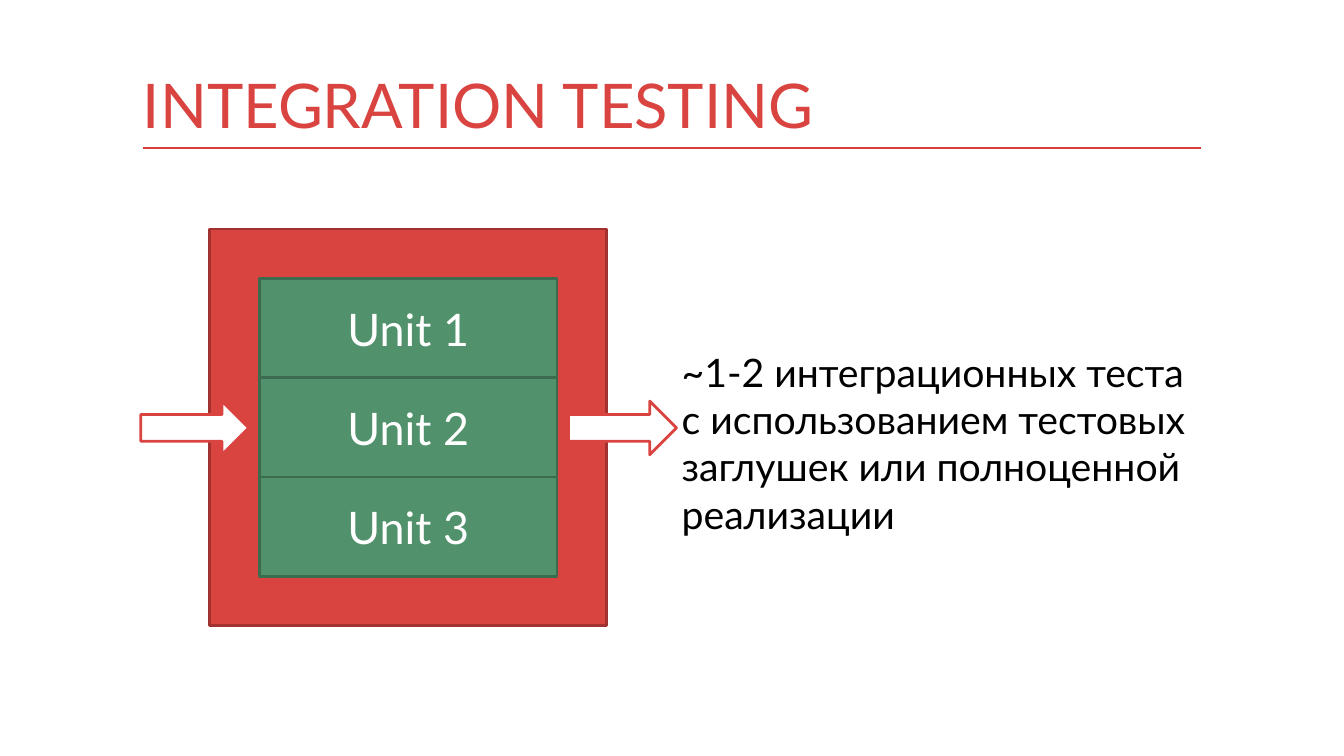
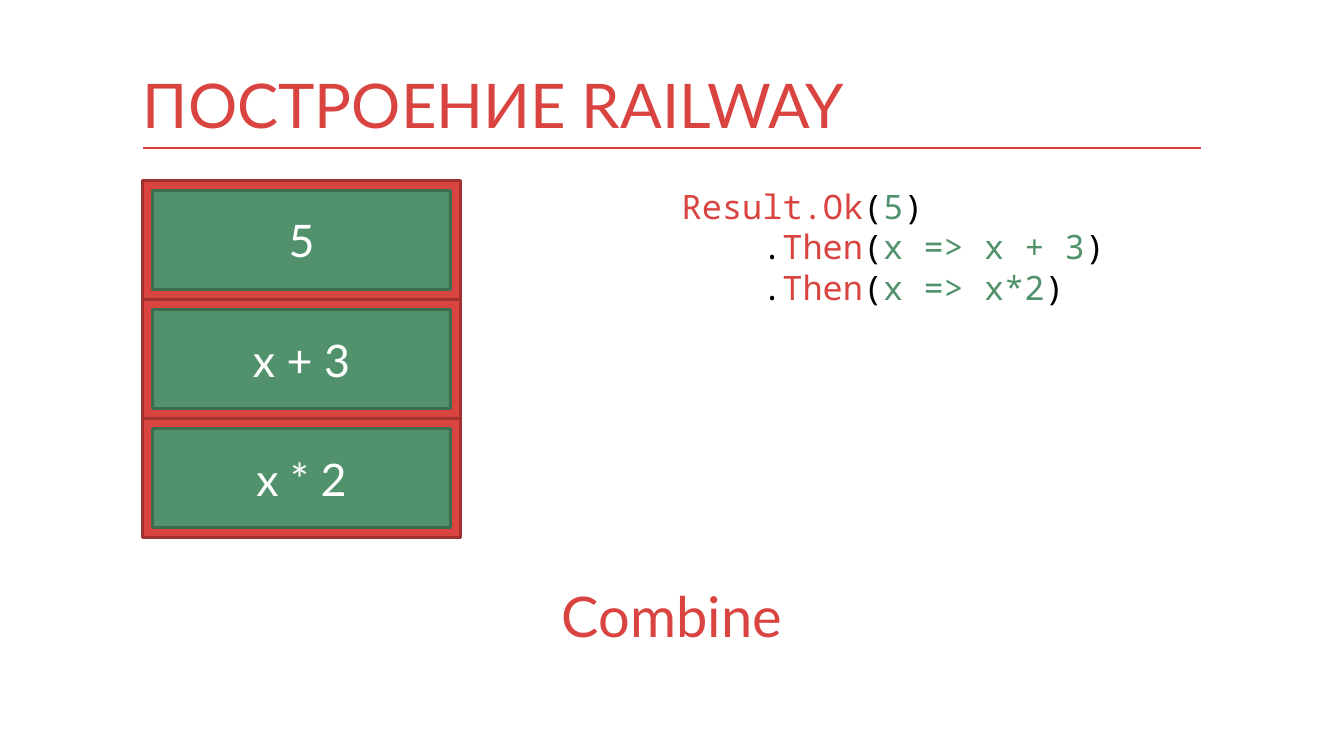
from pptx import Presentation
from pptx import util as u
from pptx.dml.color import RGBColor
from pptx.enum import shapes, text
from pptx.oxml import xmlchemy

RED = RGBColor(0xD9, 0x44, 0x40)
RED_EDGE = RGBColor(0xA1, 0x32, 0x2F)
RULE = RGBColor(0xD8, 0x3F, 0x3B)
GREEN = RGBColor(0x51, 0x92, 0x6C)
GREEN_EDGE = RGBColor(0x3C, 0x6C, 0x50)
WHITE = RGBColor(0xFF, 0xFF, 0xFF)
BLACK = RGBColor(0, 0, 0)

SANS = "Lato"
MONO = "Noto Sans Mono"
LEFT = 3.6
CONTENT_WIDTH = 26.67
RIGHT_COLUMN = 16.93
COLUMN_WIDTH = 13.33
UNIT_WIDTH, UNIT_HEIGHT = 7.5, 2.5
CODE_INDENT = u.Cm(2.03)

TITLE_FRAME = {
    "margin_left": 0, "margin_right": 0,
    "margin_top": u.Cm(0.18), "margin_bottom": u.Cm(0.18),
    "vertical_anchor": text.MSO_ANCHOR.BOTTOM,
    "auto_size": text.MSO_AUTO_SIZE.NONE, "word_wrap": True,
}
BOX_FRAME = {"word_wrap": True, "auto_size": text.MSO_AUTO_SIZE.SHAPE_TO_FIT_TEXT}
SHAPE_FRAME = {"word_wrap": True, "vertical_anchor": text.MSO_ANCHOR.MIDDLE}
CENTERED = {"alignment": text.PP_ALIGN.CENTER}
LEFT_ALIGNED = {"alignment": text.PP_ALIGN.LEFT}
CODE_LINES = {"alignment": text.PP_ALIGN.LEFT, "line_spacing": u.Pt(29)}


def apply(target, values):
    for name, value in values.items():
        setattr(target, name, value)


def place(*lengths):
    return [u.Cm(length) for length in lengths]


def write(frame, lines, size, frame_format, paragraph_format, font=SANS):
    apply(frame, frame_format)
    for number, pieces in enumerate(lines):
        paragraph = frame.paragraphs[0] if number == 0 else frame.add_paragraph()
        apply(paragraph, paragraph_format)
        for content, color in pieces:
            for part_number, part in enumerate(content.split("\n")):
                if part_number:
                    paragraph.add_line_break()
                run = paragraph.add_run()
                run.text = part
                apply(run.font, {"name": font, "size": u.Pt(size)})
                run.font.color.rgb = color


def add_title_slide(presentation, title):
    slide = presentation.slides.add_slide(presentation.slide_layouts[5])
    placeholder = slide.shapes.title
    left, top, width, height = place(LEFT, 1.52, CONTENT_WIDTH, 2.21)
    apply(placeholder, {"left": left, "top": top, "width": width, "height": height})
    write(placeholder.text_frame, [[(title, RED)]], 44, TITLE_FRAME, LEFT_ALIGNED)
    rule = slide.shapes.add_connector(
        shapes.MSO_CONNECTOR.STRAIGHT, left, top + height, left + width, top + height)
    rule.line.color.rgb = RULE
    rule.line.width = u.Pt(1)
    properties = rule._element.spPr
    properties.append(xmlchemy.OxmlElement("a:effectLst"))
    return slide


def add_block(container, kind, position, fill, edge):
    shape = container.add_shape(kind, *place(*position))
    shape.shadow.inherit = False
    shape.fill.solid()
    shape.fill.fore_color.rgb = fill
    shape.line.color.rgb = edge
    shape.line.width = u.Pt(2)
    return shape


def add_frame(container, left, top, width, height):
    add_block(container, shapes.MSO_SHAPE.RECTANGLE,
              (left, top, width, height), RED, RED_EDGE)


def add_unit(container, label, left, top):
    unit = add_block(container, shapes.MSO_SHAPE.RECTANGLE,
                     (left, top, UNIT_WIDTH, UNIT_HEIGHT), GREEN, GREEN_EDGE)
    write(unit.text_frame, [[(label, WHITE)]], 32, SHAPE_FRAME, CENTERED)


def add_arrow(container, left, top):
    add_block(container, shapes.MSO_SHAPE.RIGHT_ARROW,
              (left, top, 2.72, 1.35), WHITE, RED)


def add_text(slide, position, lines, size, paragraph_format, font=SANS):
    box = slide.shapes.add_textbox(*place(*position))
    write(box.text_frame, lines, size, BOX_FRAME, paragraph_format, font)
    return box


def build_integration(presentation):
    slide = add_title_slide(presentation, "INTEGRATION TESTING")
    left, top, side, inset = 5.29, 5.77, 10, 1.25
    group = slide.shapes.add_group_shape().shapes
    add_frame(group, left, top, side, side)
    for row in range(3):
        add_unit(group, f"Unit {row + 1}", left + inset, top + inset + row * UNIT_HEIGHT)
    message = ("~1-2 интеграционных теста\n"
               "с использованием тестовых заглушек или полноценной реализации")
    add_text(slide, (RIGHT_COLUMN, 8.66, COLUMN_WIDTH, 5.05),
             [[(message, BLACK)]], 28, LEFT_ALIGNED)
    for arrow_left in (3.55, 14.33):
        add_arrow(slide.shapes, arrow_left, 10.11)


def code_call(function, argument):
    return [(function, RED), ("(", BLACK), (argument, GREEN), (")", BLACK)]


def build_railway(presentation):
    slide = add_title_slide(presentation, "ПОСТРОЕНИЕ RAILWAY")
    top, inset = 4.55, 0.25
    width, height = UNIT_WIDTH + 2 * inset, UNIT_HEIGHT + 2 * inset
    for row, label in enumerate(("5", "x + 3", "x * 2")):
        row_top = top + row * height
        add_frame(slide.shapes, LEFT, row_top, width, height)
        add_unit(slide.shapes, label, LEFT + inset, row_top + inset)
    code = [code_call("Result.Ok", "5")]
    for step in ("x => x + 3", "x => x*2"):
        code.append([(".", BLACK)] + code_call("Then", step))
    box = add_text(slide, (RIGHT_COLUMN, top, COLUMN_WIDTH, 3.33),
                   code, 24, CODE_LINES, MONO)
    for paragraph in box.text_frame.paragraphs[1:]:
        paragraph._p.get_or_add_pPr().set("marL", str(CODE_INDENT))
    add_text(slide, (LEFT, 14.53, CONTENT_WIDTH, 1.96),
             [[("Combine", RED)]], 40, CENTERED)


def main():
    presentation = Presentation()
    apply(presentation, {"slide_width": u.Cm(33.87), "slide_height": u.Cm(19.05)})
    build_integration(presentation)
    build_railway(presentation)
    presentation.save("out.pptx")


main()
